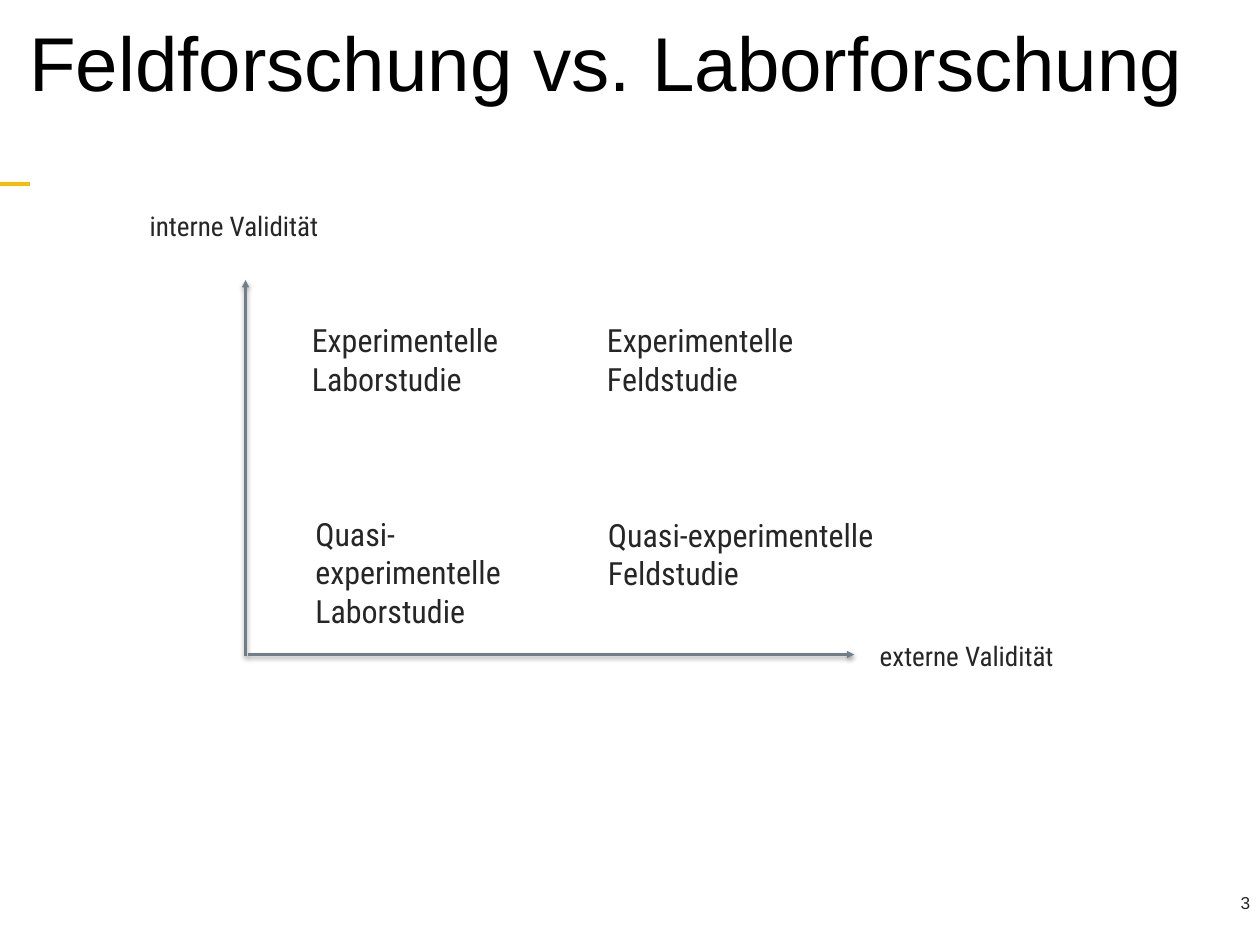
from lxml.etree import SubElement as Sub
from pptx import Presentation
from pptx.dml.color import RGBColor as Rgb
from pptx.enum.shapes import MSO_CONNECTOR as Link
from pptx.enum.text import MSO_ANCHOR as Anchor, MSO_AUTO_SIZE as Fit, PP_ALIGN as Align
from pptx.oxml.ns import qn
from pptx.util import Cm, Pt

COLORS = {"title": "000000", "text": "262626", "axis": "717D87", "mark": "F7BC05", "shade": "000000"}


class Page:
    head = "Arial"
    body = "Roboto Condensed"
    inset = Cm(0.18)

    def __init__(self, deck):
        self.slide = deck.slides.add_slide(deck.slide_layouts[5])

    def style(self, para, size, face, color, align=Align.LEFT):
        para.alignment = align
        para.font.size = Pt(size)
        para.font.name = face
        para.font.color.rgb = Rgb.from_string(COLORS[color])

    def title(self, words, left, top, width, height):
        box = self.slide.shapes.title
        box.left, box.top, box.width, box.height = map(Cm, (left, top, width, height))
        frame = box.text_frame
        frame.text = words
        frame.auto_size = Fit.NONE
        frame.word_wrap = True
        frame.vertical_anchor = Anchor.MIDDLE
        frame.margin_left = Cm(0.84)
        frame.margin_right = frame.margin_top = frame.margin_bottom = Cm(0.13)
        para = frame.paragraphs[0]
        para.line_spacing = 0.9
        self.style(para, 62, self.head, "title")

    def text(self, words, left, top, width, height, size, face=body, align=Align.LEFT, wrap=True):
        box = self.slide.shapes.add_textbox(*map(Cm, (left, top, width, height)))
        frame = box.text_frame
        frame.text = words
        frame.word_wrap = wrap
        frame.auto_size = Fit.SHAPE_TO_FIT_TEXT
        frame.margin_left = frame.margin_right = self.inset
        frame.margin_top = frame.margin_bottom = self.inset
        self.style(frame.paragraphs[0], size, face, "text", align)

    def line(self, start, end, color, width):
        line = self.slide.shapes.add_connector(Link.STRAIGHT, *map(Cm, start + end))
        line.line.color.rgb = Rgb.from_string(COLORS[color])
        line.line.width = Pt(width)
        props = line._element.spPr
        return props, Sub(props, qn("a:effectLst"))

    def arrow(self, start, end):
        props, effects = self.line(start, end, "axis", 2)
        Sub(props.find(qn("a:ln")), qn("a:tailEnd"), type="triangle")
        shade = Sub(effects, qn("a:outerShdw"), blurRad=str(Pt(4)), dist=str(Pt(2)),
                    dir="5400000", rotWithShape="0")
        tint = Sub(shade, qn("a:srgbClr"), val=COLORS["shade"])
        Sub(tint, qn("a:alpha"), val="38000")


def main():
    deck = Presentation()
    deck.slide_width, deck.slide_height = Cm(36.12), Cm(27.1)
    page = Page(deck)
    page.line((0, 5.28), (0.86, 5.28), "mark", 3)
    page.text("3", 30, 25.4, 6.02, 0.91, 14, Page.head, Align.RIGHT)
    page.title("Feldforschung vs. Laborforschung", 0, -0.05, 36.14, 3.94)

    studies = [
        ("Experimentelle Laborstudie", 8.76, 9.02, 7.8, 2.49),
        ("Experimentelle Feldstudie", 17.22, 9.02, 8.18, 2.49),
        ("Quasi-experimentelle Laborstudie", 8.86, 14.58, 7.04, 3.53),
        ("Quasi-experimentelle Feldstudie", 17.25, 14.6, 8.74, 2.49),
    ]
    for study in studies:
        page.text(*study, size=26)

    page.arrow((7.04, 18.82), (7.04, 8.03))
    page.arrow((7.11, 18.77), (24.49, 18.77))
    page.text("interne Validität", 4.11, 5.84, 5.23, 1.24, 22, wrap=False)
    page.text("externe Validität", 25.04, 18.16, 5.38, 1.24, 22, wrap=False)
    deck.save("out.pptx")


if __name__ == "__main__":
    main()
